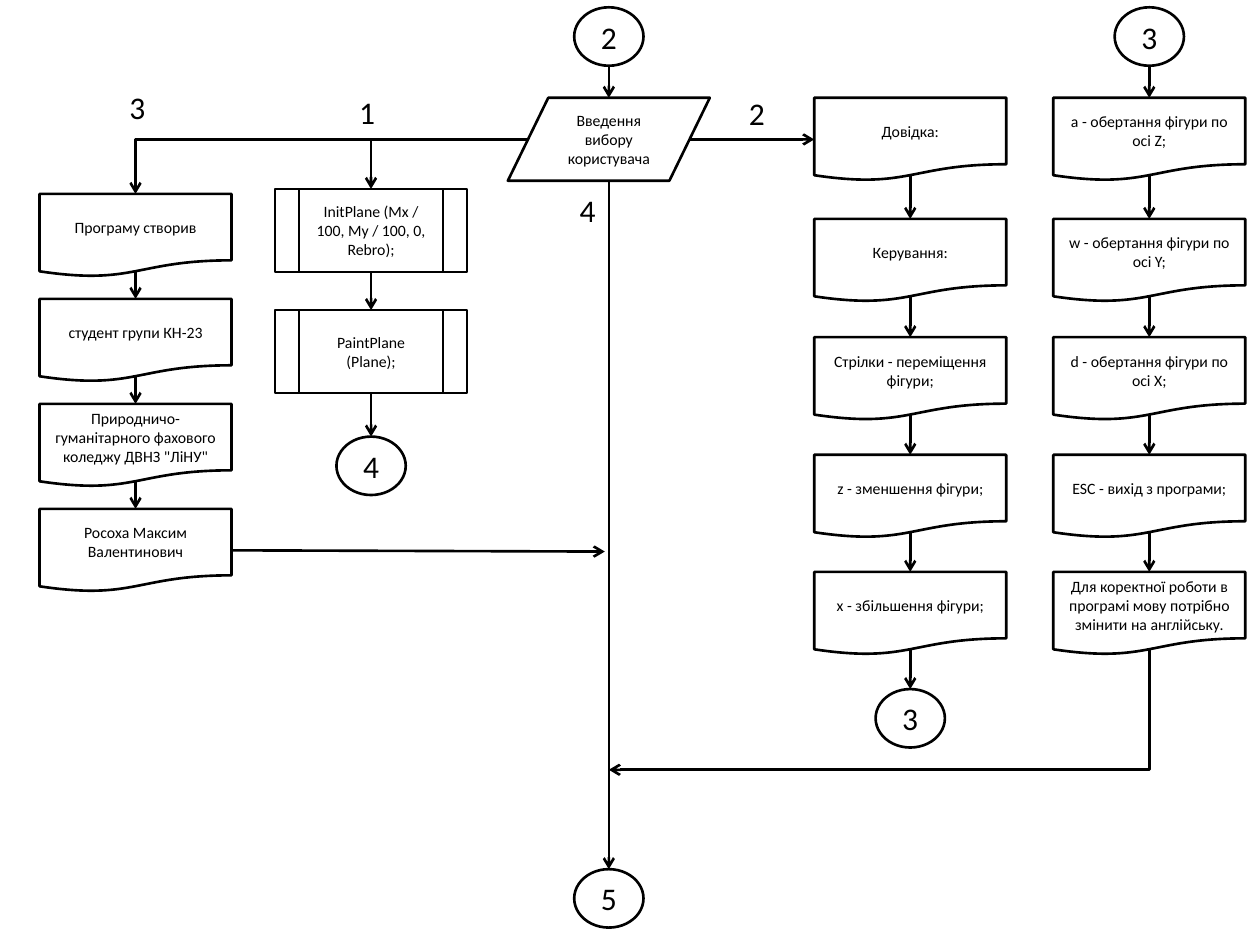
"""Build a one-slide flowchart of a plane-drawing program's menu."""
from dataclasses import dataclass
from itertools import pairwise

from lxml.etree import SubElement
from pptx import Presentation
from pptx.dml.color import RGBColor
from pptx.enum.shapes import MSO_CONNECTOR as Link, MSO_SHAPE as Kind
from pptx.enum.text import MSO_ANCHOR as Anchor, MSO_AUTO_SIZE as AutoSize, PP_ALIGN as Align
from pptx.oxml.ns import qn
from pptx.util import Pt


@dataclass(frozen=True)
class Theme:
    """Colours, type and stroke sizes of the flowchart."""
    ink: RGBColor = RGBColor(0, 0, 0)
    font: str = "Calibri"
    body: float = 9
    mark: float = 18
    stroke: float = 1.5


@dataclass(frozen=True)
class Box:
    """A region of the slide, in points."""
    left: float
    top: float
    width: float
    height: float

    @property
    def middle(self):
        """Return the horizontal centre."""
        return self.left + self.width / 2


THEME = Theme()
STEP_HEIGHT = 47.4
DOCUMENT_FOOT = 44
CIRCLE = (39.6, 33.4)
HELP_ROWS = (0, 69.2, 136.8, 204, 270.9)


def set_values(target, values):
    """Set each named attribute of the target."""
    for name, value in values.items():
        setattr(target, name, value)


def write(shape, text, size, align, frame_values):
    """Write one formatted paragraph into the shape."""
    set_values(shape.text_frame, {"word_wrap": True, **frame_values})
    paragraph = shape.text_frame.paragraphs[0]
    paragraph.alignment = align
    run = paragraph.add_run()
    run.text = text
    set_values(run.font, {"name": THEME.font, "size": Pt(size)})
    run.font.color.rgb = THEME.ink


def draw_line(line):
    """Give the outline its colour and width."""
    line.color.rgb = THEME.ink
    line.width = Pt(THEME.stroke)


def add_step(slide, kind, box, text, size=THEME.body):
    """Add an outlined flowchart symbol with centred text."""
    shape = slide.shapes.add_shape(
        kind, Pt(box.left), Pt(box.top), Pt(box.width), Pt(box.height))
    shape.shadow.inherit = False
    shape.fill.background()
    draw_line(shape.line)
    write(shape, text, size, Align.CENTER, {"vertical_anchor": Anchor.MIDDLE})


def add_circle(slide, middle, top, text):
    """Add a numbered connector circle below the given point."""
    width, height = CIRCLE
    box = Box(middle - width / 2, top, width, height)
    add_step(slide, Kind.FLOWCHART_CONNECTOR, box, text, THEME.mark)


def add_label(slide, left, top, text):
    """Add the number of a menu branch."""
    shape = slide.shapes.add_textbox(Pt(left), Pt(top), Pt(27), Pt(28.8))
    write(shape, text, THEME.mark, Align.LEFT, {"auto_size": AutoSize.SHAPE_TO_FIT_TEXT})


def add_arrow(slide, start, end, link=Link.STRAIGHT):
    """Add an arrow that runs straight from start to end."""
    arrow = slide.shapes.add_connector(link, *(Pt(value) for value in (*start, *end)))
    draw_line(arrow.line)
    properties = arrow.element.spPr
    SubElement(properties.find(qn("a:ln")), qn("a:tailEnd"), type="arrow")
    SubElement(properties, qn("a:effectLst"))
    return properties


def add_corner_arrow(slide, start, end, down_first=False):
    """Add an arrow with one right-angled bend."""
    if down_first:
        centre_x, centre_y = (start[0] + end[0]) / 2, (start[1] + end[1]) / 2
        half_width, half_height = abs(end[1] - start[1]) / 2, abs(end[0] - start[0]) / 2
        start = (centre_x - half_width, centre_y - half_height)
        end = (centre_x + half_width, centre_y + half_height)
    properties = add_arrow(slide, start, end, Link.ELBOW)
    properties.find(qn("a:prstGeom")).set("prst", "bentConnector2")
    if down_first:
        properties.find(qn("a:xfrm")).set("rot", "5400000")


def add_chain(slide, box, kind, rows, foot, texts):
    """Add a column of steps joined by downward arrows."""
    tops = [box.top + row for row in rows]
    for top, text in zip(tops, texts):
        add_step(slide, kind, Box(box.left, top, box.width, STEP_HEIGHT), text)
    for top, following in pairwise(tops):
        add_arrow(slide, (box.middle, top + foot), (box.middle, following))


def add_menu(slide, box):
    """Add the input step and the main line to the last circle."""
    add_circle(slide, box.middle, box.top, "2")
    add_arrow(slide, (box.middle, box.top + 33.4), (box.middle, box.top + 51.7))
    entry = Box(box.left, box.top + 51.7, box.width, STEP_HEIGHT)
    add_step(slide, Kind.FLOWCHART_DATA, entry, "Введення вибору користувача")
    end = box.top + box.height - CIRCLE[1]
    add_arrow(slide, (box.middle, entry.top + STEP_HEIGHT), (box.middle, end))
    add_circle(slide, box.middle, end, "5")
    add_label(slide, box.left + 34, box.top + 101.7, "4")


def add_author_branch(slide, box, source, target_x):
    """Add the branch that names the author."""
    texts = ("Програму створив", "студент групи КН-23",
             "Природничо-гуманітарного фахового коледжу ДВНЗ \"ЛіНУ\"",
             "Росоха Максим Валентинович")
    add_corner_arrow(slide, source, (box.middle, box.top))
    rows = [60 * index for index in range(len(texts))]
    add_chain(slide, box, Kind.FLOWCHART_DOCUMENT, rows, DOCUMENT_FOOT, texts)
    exit_y = box.top + rows[-1] + STEP_HEIGHT / 2
    add_arrow(slide, (box.left + box.width, exit_y), (target_x, exit_y + 0.7))
    add_label(slide, box.left + 44.3, box.top - 64, "3")


def add_plane_branch(slide, box, source):
    """Add the branch that sets up and paints the plane."""
    texts = ("InitPlane (Mx / 100, My / 100, 0, Rebro);", "PaintPlane (Plane);")
    add_corner_arrow(slide, source, (box.middle, box.top))
    add_chain(slide, box, Kind.FLOWCHART_PREDEFINED_PROCESS, (0, 69.2), STEP_HEIGHT, texts)
    end = box.top + box.height
    add_arrow(slide, (box.middle, box.top + 69.2 + STEP_HEIGHT), (box.middle, end))
    add_circle(slide, box.middle, end, "4")
    add_label(slide, box.left + 41, box.top - 58.3, "1")


def add_help_branch(slide, box, source):
    """Add the first column of help lines."""
    texts = ("Довідка:", "Керування:", "Стрілки - переміщення фігури;",
             "z - зменшення фігури;", "x - збільшення фігури;")
    add_arrow(slide, source, (box.left, source[1]))
    add_chain(slide, box, Kind.FLOWCHART_DOCUMENT, HELP_ROWS, DOCUMENT_FOOT, texts)
    end = box.top + box.height
    add_arrow(slide, (box.middle, box.top + HELP_ROWS[-1] + DOCUMENT_FOOT), (box.middle, end))
    add_circle(slide, box.middle, end, "3")
    add_label(slide, box.left - 44.5, box.top - 5.6, "2")


def add_control_branch(slide, box, target_x):
    """Add the second column of help lines and its return arrow."""
    texts = ("a - обертання фігури по осі Z;", "w - обертання фігури по осі Y;",
             "d - обертання фігури по осі X;", "ESC - вихід з програми;",
             "Для коректної роботи в програмі мову потрібно змінити на англійську.")
    add_circle(slide, box.middle, box.top - 51.7, "3")
    add_arrow(slide, (box.middle, box.top - 18.3), (box.middle, box.top))
    add_chain(slide, box, Kind.FLOWCHART_DOCUMENT, HELP_ROWS, DOCUMENT_FOOT, texts)
    start = (box.middle, box.top + HELP_ROWS[-1] + DOCUMENT_FOOT)
    add_corner_arrow(slide, start, (target_x, box.top + box.height), down_first=True)


def main():
    """Build and save the presentation."""
    presentation = Presentation()
    set_values(presentation, {"slide_width": Pt(720), "slide_height": Pt(540)})
    slide = presentation.slides.add_slide(presentation.slide_layouts[6])
    menu = Box(290.2, 4.2, 115.4, 525.9)
    source = (301.8, 79.7)
    add_menu(slide, menu)
    add_author_branch(slide, Box(22.6, 110.8, 109.7, 227.4), source, 345.6)
    add_plane_branch(slide, Box(157.2, 108, 109.7, 141.5), source)
    add_help_branch(slide, Box(465.3, 55.9, 109.7, 337.9), (394, 79.7))
    add_control_branch(slide, Box(601.9, 55.9, 109.7, 384), menu.middle)
    presentation.save("out.pptx")


if __name__ == "__main__":
    main()
